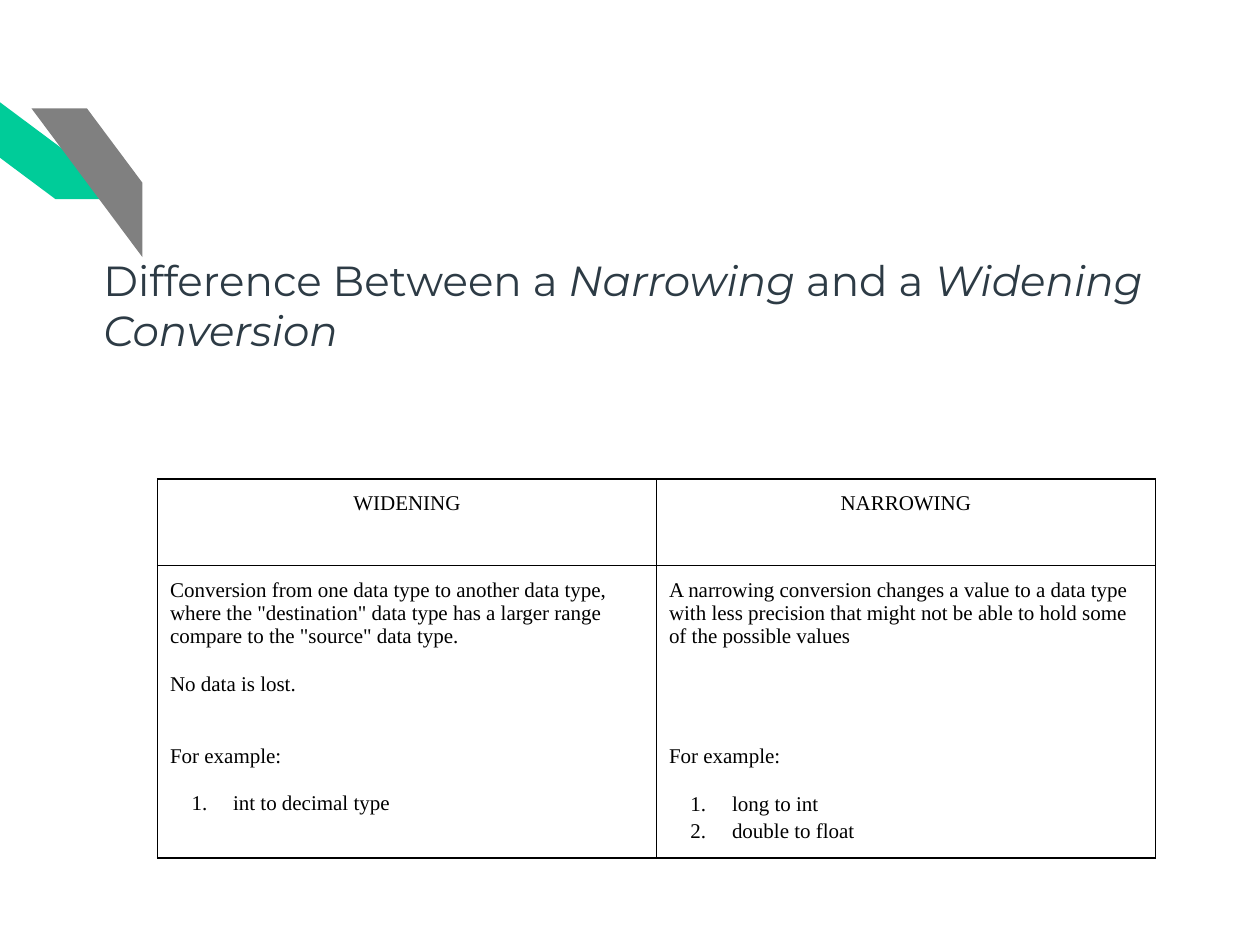
import dataclasses
import typing

import pptx
import pptx.dml.color
import pptx.enum.shapes
import pptx.enum.text
import pptx.oxml.ns
import pptx.util
import lxml.etree

RGB = pptx.dml.color.RGBColor
GREEN = RGB(0x00, 0xCC, 0x99)
GRAY = RGB(0x80, 0x80, 0x80)
SLATE = RGB(0x2D, 0x3B, 0x45)
BLACK = RGB(0x00, 0x00, 0x00)

WIDE, HIGH = pptx.util.Inches(10), pptx.util.Inches(7.5)
COLS, ROWS = 100, 75
PAD = pptx.util.Inches(0.1)
LINE = 13.8
GAP = 12


@dataclasses.dataclass
class Box:
    col: float
    row: float
    cols: float
    rows: float

    def area(self) -> tuple[int, ...]:
        x, y = WIDE / COLS, HIGH / ROWS
        return (round(self.col * x), round(self.row * y),
                round(self.cols * x), round(self.rows * y))


@dataclasses.dataclass
class Stripe:
    box: Box
    color: RGB
    turn: int = 0
    flip: bool = False


@dataclasses.dataclass
class Para:
    text: str
    before: float = 0
    space: float = 1
    center: bool = False
    number: bool = False


STRIPES = [
    Stripe(Box(0, 5.5, 8.8, 11.8), GREEN, turn=270),
    Stripe(Box(2.5, 8.6, 8.8, 11.8), GRAY, flip=True),
]
TITLE = [("Difference Between a ", False), ("Narrowing", True),
         (" and a ", False), ("Widening Conversion", True)]
GRID = Box(12.5, 38, 79.2, 30.1)
HEAD = 6.9
CELLS = [
    [[Para("WIDENING", center=True)], [Para("NARROWING", center=True)]],
    [
        [
            Para('Conversion from one data type to another data type, where the '
                 '"destination" data type has a larger range compare to the '
                 '"source" data type.'),
            Para("No data is lost.", LINE),
            Para("For example:", LINE + GAP, 1.15),
            Para("int to decimal type", GAP, 1.15, number=True),
        ],
        [
            Para("A narrowing conversion changes a value to a data type with less "
                 "precision that might not be able to hold some of the possible "
                 "values"),
            Para("For example:", 3 * LINE + GAP, 1.15),
            Para("long to int", GAP, 1.15, number=True),
            Para("double to float", 0, 1.15, number=True),
        ],
    ],
]


def add_tag(root: typing.Any, name: str, **attrs: str) -> typing.Any:
    return lxml.etree.SubElement(root, pptx.oxml.ns.qn(name), attrs)


def add_run(para: typing.Any, text: str, face: str, size: float,
            color: RGB, slant: bool = False) -> None:
    run = para.add_run()
    run.text = text
    run.font.name = face
    run.font.size = pptx.util.Pt(size)
    run.font.italic = slant
    run.font.color.rgb = color


def set_pad(area: typing.Any) -> None:
    area.margin_left = area.margin_right = PAD
    area.margin_top = area.margin_bottom = PAD


def draw_stripe(slide: typing.Any, stripe: Stripe) -> None:
    kind = pptx.enum.shapes.MSO_SHAPE.DIAGONAL_STRIPE
    shape = slide.shapes.add_shape(kind, *stripe.box.area())
    shape.adjustments[0] = 0.5
    shape.rotation = stripe.turn
    if stripe.flip:
        shape.element.spPr.find(pptx.oxml.ns.qn("a:xfrm")).set("flipH", "1")
    shape.fill.solid()
    shape.fill.fore_color.rgb = stripe.color
    shape.line.fill.background()
    shape.shadow.inherit = False


def draw_title(slide: typing.Any) -> None:
    title = slide.shapes.title
    title.left, title.top, title.width, title.height = Box(6.8, 19.2, 93.2, 6.3).area()
    slide.shapes.element.append(title.element)
    frame = title.text_frame
    frame.word_wrap = True
    frame.auto_size = pptx.enum.text.MSO_AUTO_SIZE.NONE
    frame.vertical_anchor = pptx.enum.text.MSO_ANCHOR.TOP
    set_pad(frame)
    para = frame.paragraphs[0]
    para.alignment = pptx.enum.text.PP_ALIGN.LEFT
    props = para._p.get_or_add_pPr()
    props.set("marL", str(pptx.util.Inches(0.04)))
    props.set("indent", "0")
    for text, slant in TITLE:
        add_run(para, text, "Montserrat", 24, SLATE, slant)


def set_number(para: typing.Any) -> None:
    props = para._p.get_or_add_pPr()
    props.set("marL", str(pptx.util.Inches(0.5)))
    props.set("indent", str(pptx.util.Inches(-0.33)))
    add_tag(add_tag(props, "a:buClr"), "a:srgbClr", val=str(BLACK))
    add_tag(props, "a:buAutoNum", type="arabicPeriod")


def fill_cell(cell: typing.Any, paras: list[Para]) -> None:
    set_pad(cell)
    cell.vertical_anchor = pptx.enum.text.MSO_ANCHOR.TOP
    props = cell._tc.get_or_add_tcPr()
    for side in ("L", "R", "T", "B"):
        edge = add_tag(props, f"a:ln{side}", w=str(pptx.util.Pt(1)))
        add_tag(add_tag(edge, "a:solidFill"), "a:srgbClr", val=str(BLACK))
    cell.fill.background()
    frame = cell.text_frame
    align = pptx.enum.text.PP_ALIGN
    for i, item in enumerate(paras):
        para = frame.add_paragraph() if i else frame.paragraphs[0]
        para.alignment = align.CENTER if item.center else align.LEFT
        para.line_spacing = item.space
        para.space_before = pptx.util.Pt(item.before)
        if item.number:
            set_number(para)
        add_run(para, item.text, "Times New Roman", 12, BLACK)


def draw_table(slide: typing.Any) -> None:
    table = slide.shapes.add_table(len(CELLS), len(CELLS[0]), *GRID.area()).table
    table.first_row = table.horz_banding = False
    for row, rows in zip(table.rows, (HEAD, GRID.rows - HEAD)):
        row.height = round(rows * HIGH / ROWS)
    for r, line in enumerate(CELLS):
        for c, paras in enumerate(line):
            fill_cell(table.cell(r, c), paras)


def main() -> None:
    deck = pptx.Presentation()
    deck.slide_width, deck.slide_height = WIDE, HIGH
    slide = deck.slides.add_slide(deck.slide_layouts[5])
    for stripe in STRIPES:
        draw_stripe(slide, stripe)
    draw_title(slide)
    draw_table(slide)
    deck.save("out.pptx")


if __name__ == "__main__":
    main()
